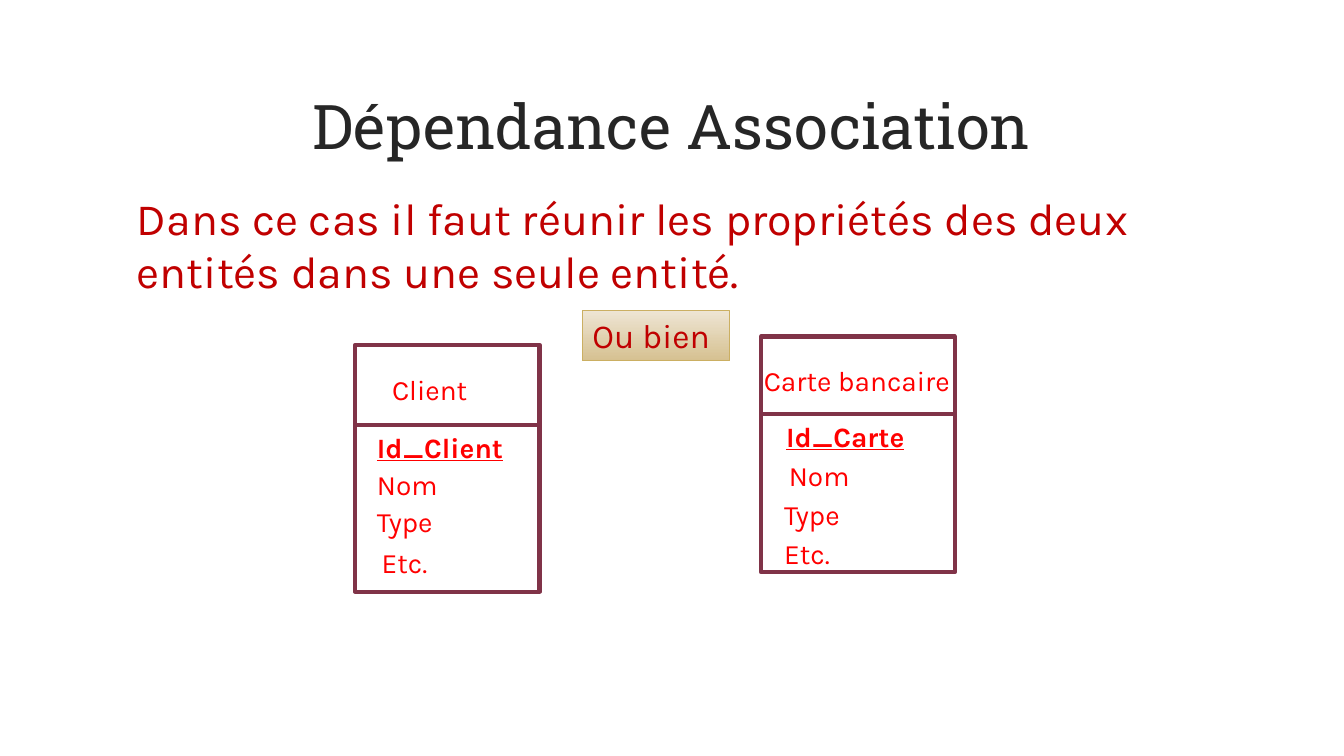
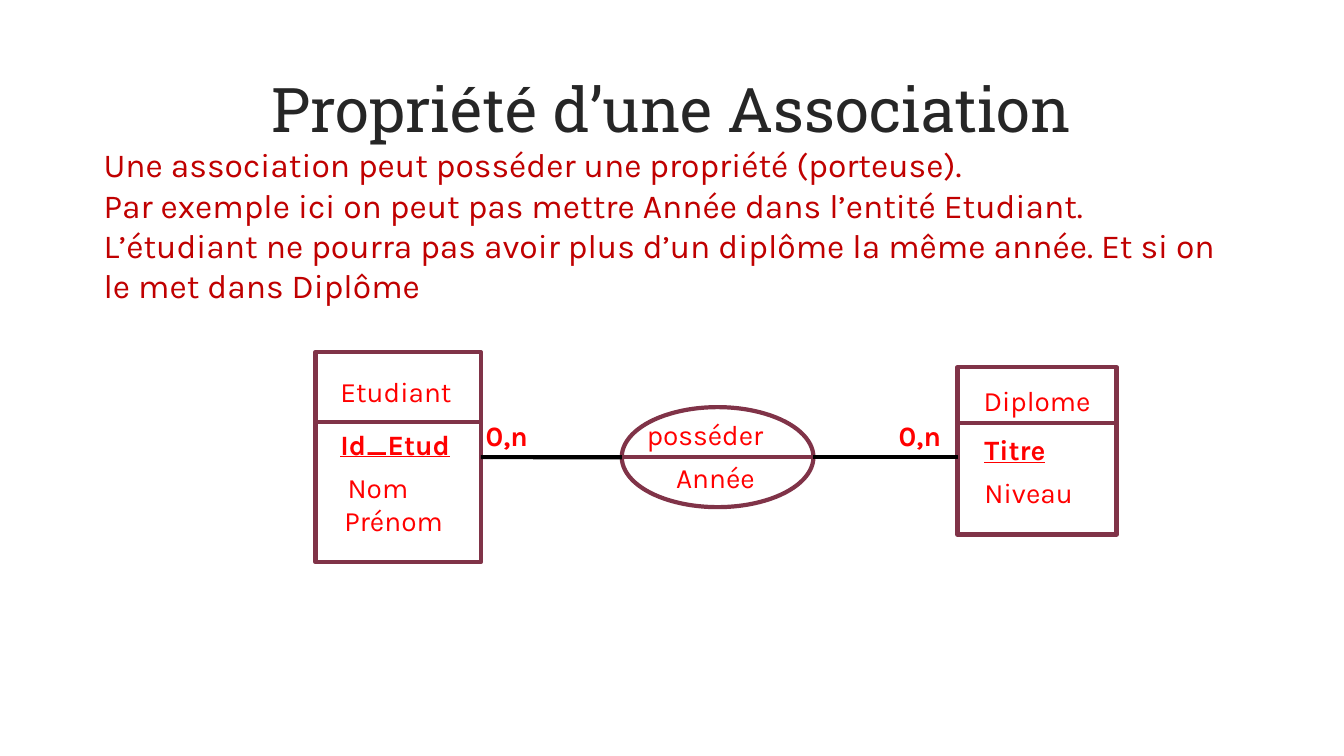
from lxml import etree
from pptx import Presentation
from pptx.dml.color import RGBColor
from pptx.enum.shapes import MSO_CONNECTOR, MSO_SHAPE
from pptx.enum.text import MSO_ANCHOR, MSO_AUTO_SIZE, PP_ALIGN
from pptx.oxml.ns import qn
from pptx.util import Cm, Pt

STRAIGHT = MSO_CONNECTOR.STRAIGHT
RECTANGLE, OVAL = MSO_SHAPE.RECTANGLE, MSO_SHAPE.OVAL
MIDDLE, TOP = MSO_ANCHOR.MIDDLE, MSO_ANCHOR.TOP
CENTER, LEFT = PP_ALIGN.CENTER, PP_ALIGN.LEFT
NO_AUTOFIT = MSO_AUTO_SIZE.NONE

TITLE_FONT, BODY_FONT = "Roboto Slab", "Karla"
TITLE_ONLY_LAYOUT = 5
RIGHT_SIDE = 3  # connection site of a rectangle
COLORS = {
    "title": "262626",
    "body": "C00000",
    "label": "FF0000",
    "outline": "803348",
    "paper": "FFFFFF",
    "link": "000000",
    "badge_top": "EEE5D4",
    "badge_bottom": "D6C191",
    "badge_line": "CBAF62",
}


def color(name):
    return RGBColor.from_string(COLORS[name])


def box(left, top, width, height):
    return Cm(left), Cm(top), Cm(width), Cm(height)


def write(frame, lines, size, color_name, font_name=BODY_FONT, align=LEFT,
          bold=False, underline=False):
    """Fill a text frame with one paragraph per line."""
    frame.word_wrap = True
    frame.text = "\n".join(lines)
    for paragraph in frame.paragraphs:
        paragraph.alignment = align
        font = paragraph.font
        font.name, font.size = font_name, Pt(size)
        font.bold, font.underline = bold, underline
        font.color.rgb = color(color_name)


def add_titled_slide(presentation, text, top):
    slide = presentation.slides.add_slide(
        presentation.slide_layouts[TITLE_ONLY_LAYOUT])
    title = slide.shapes.title
    title.left, title.top, title.width, title.height = box(3.6, top, 26.67, 2.41)
    frame = title.text_frame
    frame.auto_size, frame.vertical_anchor = NO_AUTOFIT, MIDDLE
    write(frame, [text], 44, "title", TITLE_FONT, CENTER)
    frame.paragraphs[0].line_spacing = 0.9
    return slide


def add_body(slide, lines, left, top, height, size):
    shape = slide.shapes.add_textbox(*box(left, top, 29.16, height))
    write(shape.text_frame, lines, size, "body")


def add_label(slide, text, left, top, width=4.05, bold=False, underline=False):
    shape = slide.shapes.add_textbox(*box(left, top, width, 1.12))
    write(shape.text_frame, [text], 20, "label", bold=bold, underline=underline)


def add_line(slide, left, right, y, color_name):
    line = slide.shapes.add_connector(
        STRAIGHT, Cm(left), Cm(y), Cm(right), Cm(y))
    line.line.color.rgb = color(color_name)
    line.line.width = Pt(3)
    etree.SubElement(line._element.spPr, qn("a:effectLst"))
    return line


def add_divided_shape(slide, kind, left, top, width, height, divider):
    """Outlined shape split by a horizontal line, divider below its top."""
    shape = slide.shapes.add_shape(kind, *box(left, top, width, height))
    shape.shadow.inherit = False
    shape.fill.solid()
    shape.fill.fore_color.rgb = color("paper")
    shape.line.color.rgb = color("outline")
    shape.line.width = Pt(3)
    add_line(slide, left, left + width, top + divider, "outline")
    return shape


def add_entity(slide, bounds, header_height, name, attributes, name_width=4.05):
    """Entity with its name and attributes (text, left, top), the key first."""
    shape = add_divided_shape(slide, RECTANGLE, *bounds, header_height)
    add_label(slide, *name, width=name_width)
    for index, attribute in enumerate(attributes):
        is_key = index == 0
        add_label(slide, *attribute, bold=is_key, underline=is_key)
    return shape


def add_badge(slide, text, left, top, width, height):
    shape = slide.shapes.add_shape(RECTANGLE, *box(left, top, width, height))
    shape.shadow.inherit = False
    shape.fill.gradient()
    shape.fill.gradient_angle = 270
    for stop, name in zip(shape.fill.gradient_stops, ("badge_top", "badge_bottom")):
        stop.color.rgb = color(name)
    shape.line.color.rgb = color("badge_line")
    shape.line.width = Pt(0.75)
    shape.text_frame.vertical_anchor = TOP
    write(shape.text_frame, [text], 24, "body")


def build_dependency_slide(presentation):
    slide = add_titled_slide(presentation, "Dépendance Association", 2.06)
    add_body(slide, ["Dans ce cas il faut réunir les propriétés des deux "
                     "entités dans une seule entité."], 3.2, 4.67, 3, 32)
    add_entity(slide, (8.95, 8.69, 4.65, 6.22), 2.03, ("Client", 9.63, 9.25), [
        ("Id_Client", 9.25, 10.72),
        ("Nom", 9.25, 11.66),
        ("Type", 9.25, 12.6),
        ("Etc.", 9.37, 13.61),
    ])
    add_entity(slide, (19.18, 8.48, 4.88, 5.94), 1.96,
               ("Carte bancaire", 19, 9.04), [
        ("Id_Carte", 19.56, 10.44),
        ("Nom", 19.63, 11.43),
        ("Type", 19.51, 12.4),
        ("Etc.", 19.51, 13.39),
    ], name_width=6.12)
    add_badge(slide, "Ou bien", 14.68, 7.82, 3.71, 1.27)


def build_property_slide(presentation):
    slide = add_titled_slide(presentation, "Propriété d’une Association", 1.63)
    add_body(slide, [
        "Une association peut posséder une propriété (porteuse).",
        "Par exemple ici on peut pas mettre Année dans l’entité Etudiant. "
        "L’étudiant ne pourra pas avoir plus d’un diplôme la même année. "
        "Et si on le met dans Diplôme",
    ], 2.36, 3.51, 4.37, 24)
    student = add_entity(slide, (7.95, 8.87, 4.17, 5.3), 1.77,
                         ("Etudiant", 8.33, 9.3), [
        ("Id_Etud", 8.33, 10.64),
        ("Nom", 8.51, 11.73),
        ("Prénom", 8.43, 12.57),
    ])
    add_entity(slide, (24.13, 9.25, 4.01, 4.22), 1.4, ("Diplome", 24.54, 9.53), [
        ("Titre", 24.56, 10.77),
        ("Niveau", 24.56, 11.86),
    ])

    # Association and its links
    add_divided_shape(slide, OVAL, 15.67, 10.26, 4.83, 2.52, 1.26)
    student_link = add_line(slide, 12.12, 15.67, 11.52, "link")
    student_link.begin_connect(student, RIGHT_SIDE)
    add_line(slide, 20.5, 24.13, 11.52, "link")

    # Association text and cardinalities
    add_label(slide, "posséder", 16.05, 10.39)
    add_label(slide, "Année", 16.79, 11.48)
    for left in (11.99, 22.4):
        add_label(slide, "0,n", left, 10.41, width=1.63, bold=True)


def main():
    presentation = Presentation()
    presentation.slide_width, presentation.slide_height = Cm(33.87), Cm(19.05)
    build_dependency_slide(presentation)
    build_property_slide(presentation)
    presentation.save("out.pptx")


if __name__ == "__main__":
    main()
